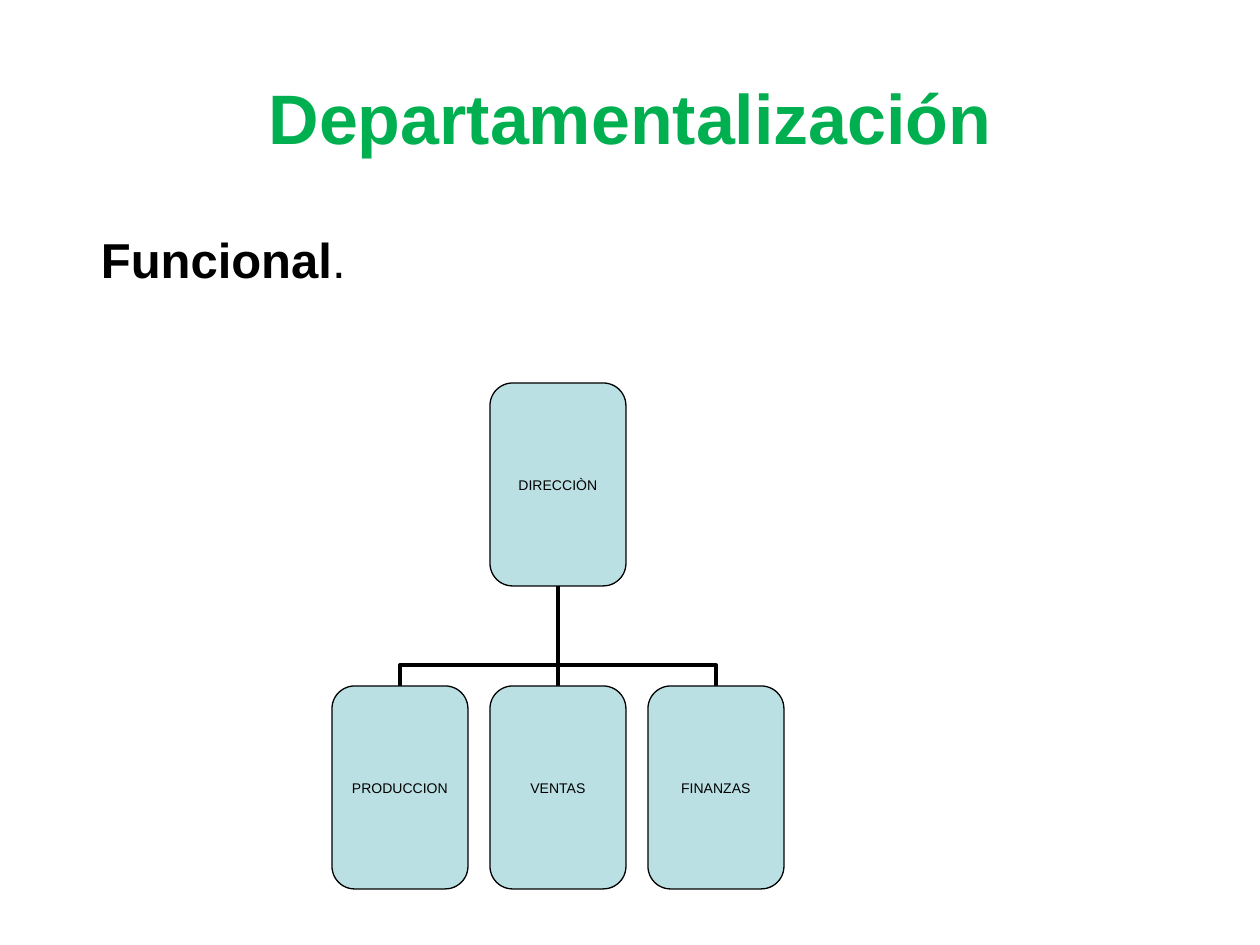
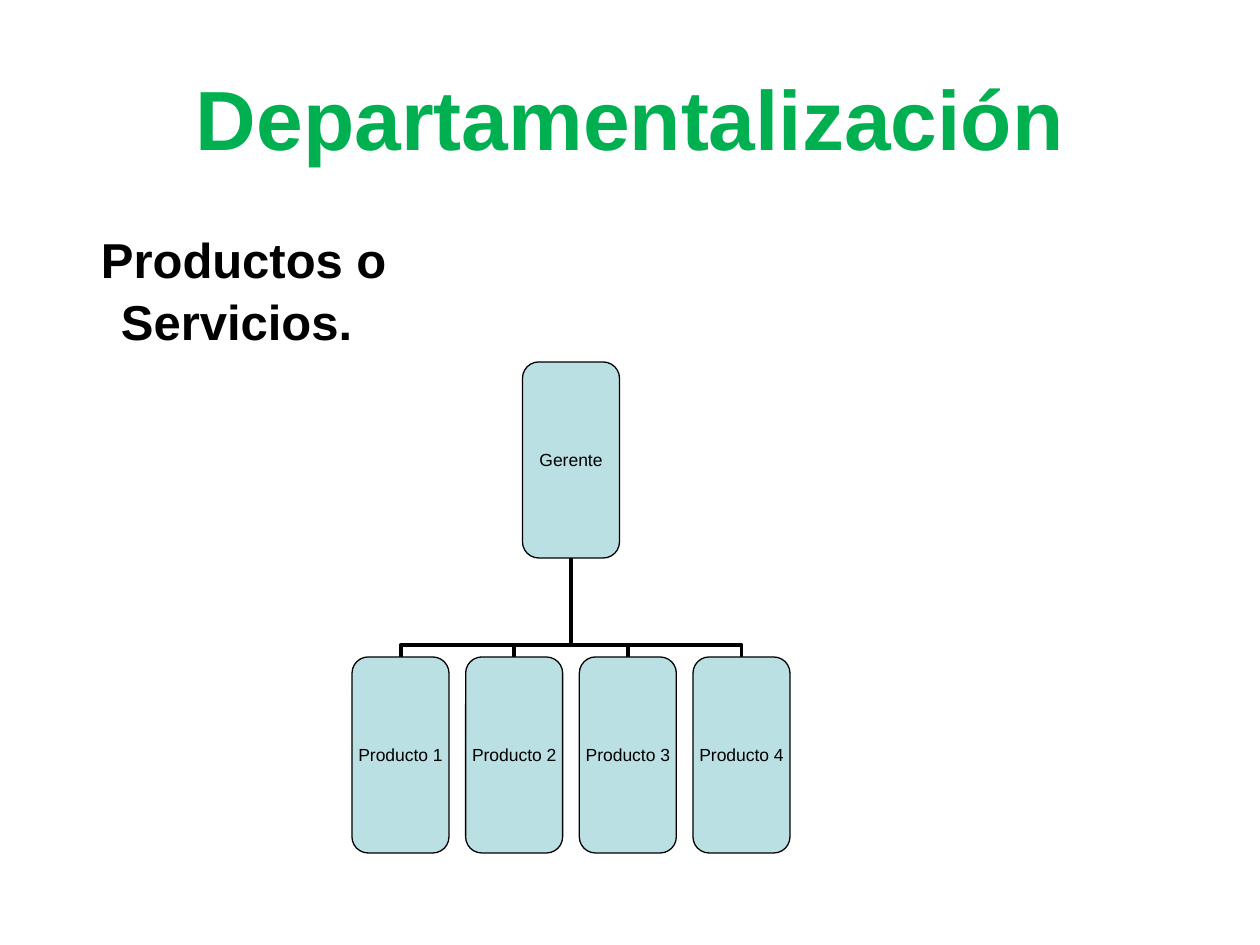
"""Build two slides on departmentalization, each with a heading and an organization chart."""
import lxml.etree
import pptx
import pptx.dml.color
import pptx.enum.shapes
import pptx.enum.text
import pptx.oxml.ns
import pptx.util

COLORS = {"title": "00B050", "text": "000000", "node": "BBE0E3", "line": "000000"}
FONT = "Arial"
PX = 914400 / 126
SLIDE_SIZE = (1260, 945)
TITLE_BOX = (63, 38, 1134, 158)
BODY_BOX = (63, 221, 557, 624)
ALIGN = pptx.enum.text.PP_ALIGN
ANCHOR = pptx.enum.text.MSO_ANCHOR
SHAPES = pptx.enum.shapes.MSO_SHAPE
CONNECTORS = pptx.enum.shapes.MSO_CONNECTOR


def emu(px):
    """Turn px into EMU."""
    return pptx.util.Emu(round(px * PX))


def rgb(name):
    """Look up a named color."""
    return pptx.dml.color.RGBColor.from_string(COLORS[name])


def write(shape, spans, size, color="text", align=ALIGN.LEFT, anchor=ANCHOR.TOP,
          wrap=True, insets=(13, 6), left=0, first=0, spacing=1.0):
    """Write (text, bold) spans as one formatted paragraph."""
    frame = shape.text_frame
    frame.word_wrap = wrap
    frame.vertical_anchor = anchor
    frame.margin_left = frame.margin_right = emu(insets[0])
    frame.margin_top = frame.margin_bottom = emu(insets[1])
    para = frame.paragraphs[0]
    para.alignment = align
    para.line_spacing = spacing
    if left:
        properties = para._p.get_or_add_pPr()
        properties.set("marL", str(emu(left)))
        properties.set("indent", str(emu(first)))
    for text, bold in spans:
        span = para.add_run()
        span.text = text
        span.font.name = FONT
        span.font.size = pptx.util.Pt(size)
        span.font.bold = bold
        span.font.color.rgb = rgb(color)


def add_text(page, box, spans, size, **style):
    """Add a text box."""
    write(page.shapes.add_textbox(*map(emu, box)), spans, size, **style)


def add_node(page, box, label, size):
    """Add one rounded box of the chart."""
    node = page.shapes.add_shape(SHAPES.ROUNDED_RECTANGLE, *map(emu, box))
    node.shadow.inherit = False
    node.fill.solid()
    node.fill.fore_color.rgb = rgb("node")
    node.line.color.rgb = rgb("line")
    node.line.width = pptx.util.Pt(0.75)
    write(node, [(label, False)], size, align=ALIGN.CENTER, anchor=ANCHOR.MIDDLE,
          wrap=False, insets=(0, 0))


def add_branch(page, child, parent, stub):
    """Link a child's top to its parent's bottom, turning stub px above the child."""
    (child_x, child_y), (parent_x, parent_y) = child, parent
    run, rise = child_x - parent_x, child_y - parent_y
    if run:
        middle_x, middle_y = (child_x + parent_x) / 2, (child_y + parent_y) / 2
        side = 1 if run > 0 else -1
        reach, half = side * rise / 2, abs(run) / 2
        ends = (middle_x - reach, middle_y + half, middle_x + reach, middle_y - half)
        kind = CONNECTORS.ELBOW
    else:
        ends, kind = (*child, *parent), CONNECTORS.STRAIGHT
    branch = page.shapes.add_connector(kind, *map(emu, ends))
    branch.line.color.rgb = rgb("line")
    branch.line.width = pptx.util.Pt(2.25)
    properties = branch._element.spPr
    lxml.etree.SubElement(properties, pptx.oxml.ns.qn("a:effectLst"))
    if run:
        properties.find(pptx.oxml.ns.qn("a:xfrm")).set("rot", str((180 + 90 * side) * 60000))
        values = next(properties.iter(pptx.oxml.ns.qn("a:avLst")))
        lxml.etree.SubElement(values, pptx.oxml.ns.qn("a:gd"), name="adj1",
                              fmla=f"val {round(stub / rise * 100000)}")


def add_chart_tree(page, box, node_size, stub, root, children, size):
    """Add a two-level organization chart that fills its box."""
    left, top, width, height = box
    node_width, node_height = node_size
    pitch = (width - node_width) / (len(children) - 1)
    root_x, child_top = left + width / 2, top + height - node_height
    lefts = [left + index * pitch for index in range(len(children))]
    for child_left in reversed(lefts):
        add_branch(page, (child_left + node_width / 2, child_top),
                   (root_x, top + node_height), stub)
    add_node(page, (root_x - node_width / 2, top, *node_size), root, size)
    for child_left, label in zip(lefts, children):
        add_node(page, (child_left, child_top, *node_size), label, size)


def add_page(deck, title_size, heading, indents, chart):
    """Add a slide with title, heading and chart."""
    page = deck.slides.add_slide(deck.slide_layouts[6])
    add_text(page, TITLE_BOX, [("Departamentalización", True)], title_size, color="title",
             align=ALIGN.CENTER, anchor=ANCHOR.MIDDLE)
    left, first = indents
    add_text(page, BODY_BOX, heading, 28, left=left, first=first, spacing=1.05)
    add_chart_tree(page, **chart)


def main():
    """Build and save the deck."""
    deck = pptx.Presentation()
    deck.slide_width, deck.slide_height = map(emu, SLIDE_SIZE)
    add_page(deck, 40, [("Funcional", True), (".", False)], (25, 0),
             dict(box=(332, 383, 452, 506), node_size=(136, 203), stub=21, root="DIRECCIÒN",
                  children=["PRODUCCION", "VENTAS", "FINANZAS"], size=8))
    add_page(deck, 48, [("Productos o Servicios.", True)], (45, -20),
             dict(box=(352, 362, 438, 491), node_size=(97, 196), stub=12, root="Gerente",
                  children=[f"Producto {number}" for number in range(1, 5)], size=10))
    deck.save("out.pptx")


if __name__ == "__main__":
    main()
